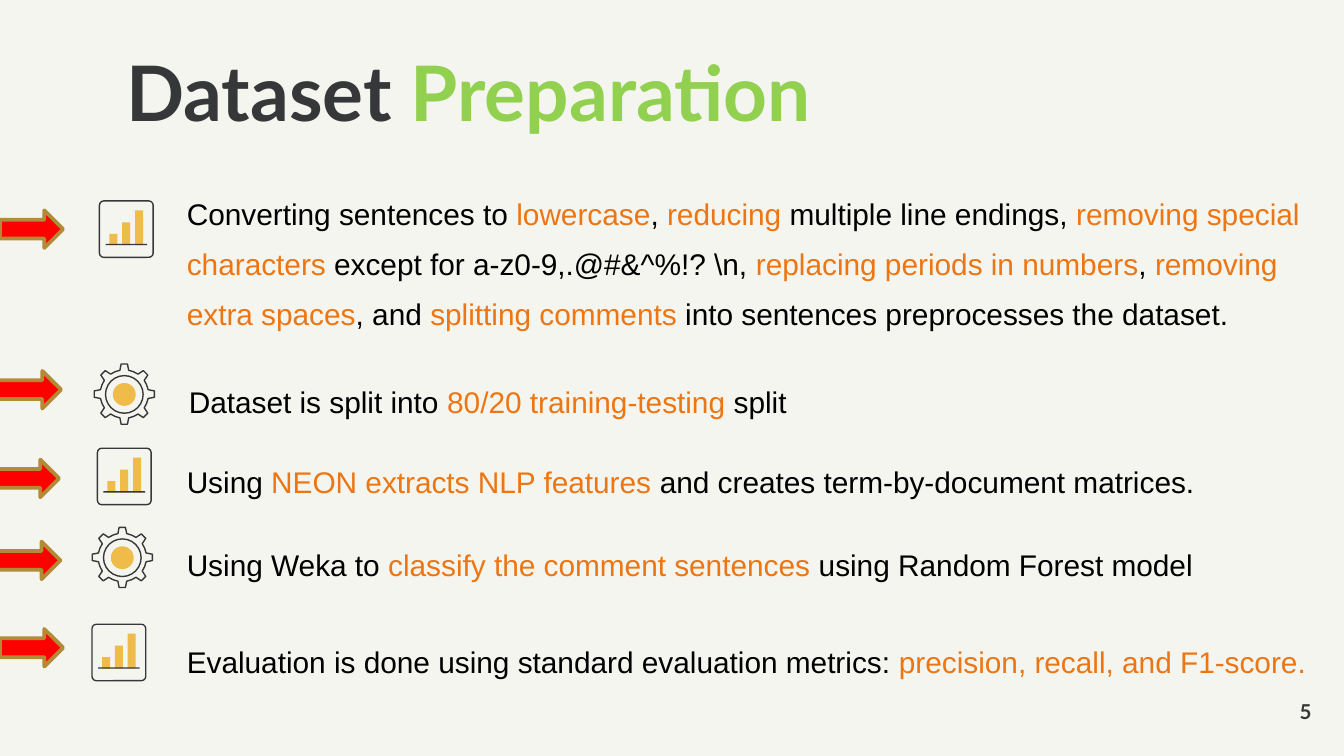
from dataclasses import dataclass
from math import cos, radians, sin

from pptx import Presentation
from pptx.dml.color import RGBColor
from pptx.enum.shapes import MSO_SHAPE as Preset
from pptx.enum.text import MSO_ANCHOR as Anchor, MSO_AUTO_SIZE as AutoSize, PP_ALIGN as Align
from pptx.util import Emu, Pt

EMU_PER_PX = 4572


@dataclass(frozen=True)
class Theme:
    background: str = "F5F5EF"
    dark: str = "363739"
    green: str = "92D050"
    black: str = "000000"
    orange: str = "EC7614"
    yellow: str = "EFBC49"
    arrow_fill: str = "FF0000"
    arrow_line: str = "B18B36"
    heading_font: str = "Lato"
    body_font: str = "Arial"
    title_size: int = 41
    body_size: int = 16
    number_size: int = 11
    icon_line: float = 0.75
    arrow_line_width: int = 2


@dataclass(frozen=True)
class Box:
    left: int
    top: int
    width: int
    height: int

    def inner(self, left, top, width, height):
        return Box(self.left + left, self.top + top, width, height)

    def emu(self):
        return [px(value) for value in (self.left, self.top, self.width, self.height)]


THEME = Theme()


def px(value):
    return Emu(round(value * EMU_PER_PX))


def color(name):
    return RGBColor.from_string(name)


def write_text(shape, text, *, size, font, base, accent=None, bold=False,
               align=Align.LEFT, anchor=Anchor.TOP, spacing=1.0, grow=False):
    frame = shape.text_frame
    frame.word_wrap = True
    frame.auto_size = AutoSize.SHAPE_TO_FIT_TEXT if grow else AutoSize.NONE
    frame.vertical_anchor = anchor
    frame.margin_left = frame.margin_right = frame.margin_top = frame.margin_bottom = 0
    paragraph = frame.paragraphs[0]
    paragraph.alignment = align
    paragraph.line_spacing = spacing
    for index, part in enumerate(text.split("|")):
        if part:
            run = paragraph.add_run()
            run.text = part
            run.font.size = Pt(size)
            run.font.name = font
            run.font.bold = bold
            run.font.color.rgb = color(accent if index % 2 else base)


def paint(shape, fill=None, line=None, width=0):
    shape.shadow.inherit = False
    if fill:
        shape.fill.solid()
        shape.fill.fore_color.rgb = color(fill)
    else:
        shape.fill.background()
    if line:
        shape.line.color.rgb = color(line)
        shape.line.width = Pt(width)
    else:
        shape.line.fill.background()
    return shape


def add_preset(shapes, preset, box, **style):
    return paint(shapes.add_shape(preset, *box.emu()), **style)


def add_chart_icon(slide, left, top):
    box = Box(left, top, 82, 86)
    shapes = slide.shapes.add_group_shape().shapes
    frame = add_preset(shapes, Preset.ROUNDED_RECTANGLE, box.inner(1, 1, 80, 84),
                       line=THEME.dark, width=THEME.icon_line)
    frame.adjustments[0] = 0.08
    base = 67
    for bar_left, height in ((16, 17), (35, 34), (54, 52)):
        add_preset(shapes, Preset.RECTANGLE, box.inner(bar_left, base - height, 12, height),
                   fill=THEME.yellow)
    add_preset(shapes, Preset.RECTANGLE, box.inner(10, base - 2, 62, 2), fill=THEME.dark)


def add_gear_icon(slide, left, top):
    box = Box(left, top, 92, 93)
    center_x, center_y = left + box.width / 2, top + box.height / 2
    tip, root = 45, 36
    tooth = ((-10.5, root), (-6, tip), (6, tip), (10.5, root), (22.5, root))
    points = []
    for turn in range(0, 360, 45):
        for angle, radius in tooth:
            theta = radians(turn + angle)
            points.append((px(center_x + radius * sin(theta)),
                           px(center_y - radius * cos(theta))))
    shapes = slide.shapes.add_group_shape().shapes
    builder = shapes.build_freeform(*points[0], scale=1.0)
    builder.add_line_segments(points[1:], close=True)
    paint(builder.convert_to_shape(), line=THEME.dark, width=THEME.icon_line)
    add_preset(shapes, Preset.OVAL, box.inner(18, 19, 56, 56),
               line=THEME.dark, width=THEME.icon_line)
    add_preset(shapes, Preset.OVAL, box.inner(29, 30, 34, 34), fill=THEME.yellow)


def add_title(slide, box, text):
    title = slide.shapes.title
    title.left, title.top, title.width, title.height = box.emu()
    write_text(title, text, size=THEME.title_size, font=THEME.heading_font,
               base=THEME.dark, accent=THEME.green, bold=True, spacing=0.9)


def add_step(slide, box, text, add_icon, icon_offset, arrow_offset):
    write_text(slide.shapes.add_textbox(*box.emu()), text, size=THEME.body_size,
               font=THEME.body_font, base=THEME.black, accent=THEME.orange,
               spacing=1.4, grow=True)
    add_icon(slide, box.left + icon_offset[0], box.top + icon_offset[1])
    add_preset(slide.shapes, Preset.RIGHT_ARROW, box.inner(*arrow_offset, 94, 56),
               fill=THEME.arrow_fill, line=THEME.arrow_line, width=THEME.arrow_line_width)


def add_page_number(slide, box, number):
    write_text(slide.shapes.add_textbox(*box.emu()), number, size=THEME.number_size,
               font=THEME.heading_font, base=THEME.dark, bold=True,
               align=Align.RIGHT, anchor=Anchor.MIDDLE)


STEPS = (
    (Box(278, 270, 1716, 226),
     "Converting sentences to |lowercase|, |reducing |multiple line endings, "
     "|removing special characters| except for a-z0-9,.@#&^%!? \\n, "
     "|replacing periods in numbers|, |removing extra spaces|, and "
     "|splitting comments| into sentences preprocesses the dataset.",
     add_chart_icon, (-131, 28), (-278, 43)),
    (Box(281, 550, 1162, 76),
     "Dataset is split into |80/20 training-testing |split",
     add_gear_icon, (-142, -10), (-284, 2)),
    (Box(278, 668, 1628, 76),
     "Using |NEON extracts NLP features |and creates term-by-document matrices.",
     add_chart_icon, (-134, -2), (-284, 16)),
    (Box(278, 792, 1600, 76),
     "Using Weka to |classify the comment sentences |using Random Forest model",
     add_gear_icon, (-142, -9), (-282, 14)),
    (Box(278, 936, 1706, 76),
     "Evaluation is done using standard evaluation metrics: "
     "|precision, recall, and F1-score.",
     add_chart_icon, (-142, -8), (-278, 0)),
)


def main():
    presentation = Presentation()
    presentation.slide_width, presentation.slide_height = px(2000), px(1125)
    slide = presentation.slides.add_slide(presentation.slide_layouts[5])
    slide.background.fill.solid()
    slide.background.fill.fore_color.rgb = color(THEME.background)
    add_title(slide, Box(188, 82, 1418, 158), "Dataset |Preparation")
    for step in STEPS:
        add_step(slide, *step)
    add_page_number(slide, Box(1832, 1039, 120, 40), "5")
    presentation.save("out.pptx")


if __name__ == "__main__":
    main()
